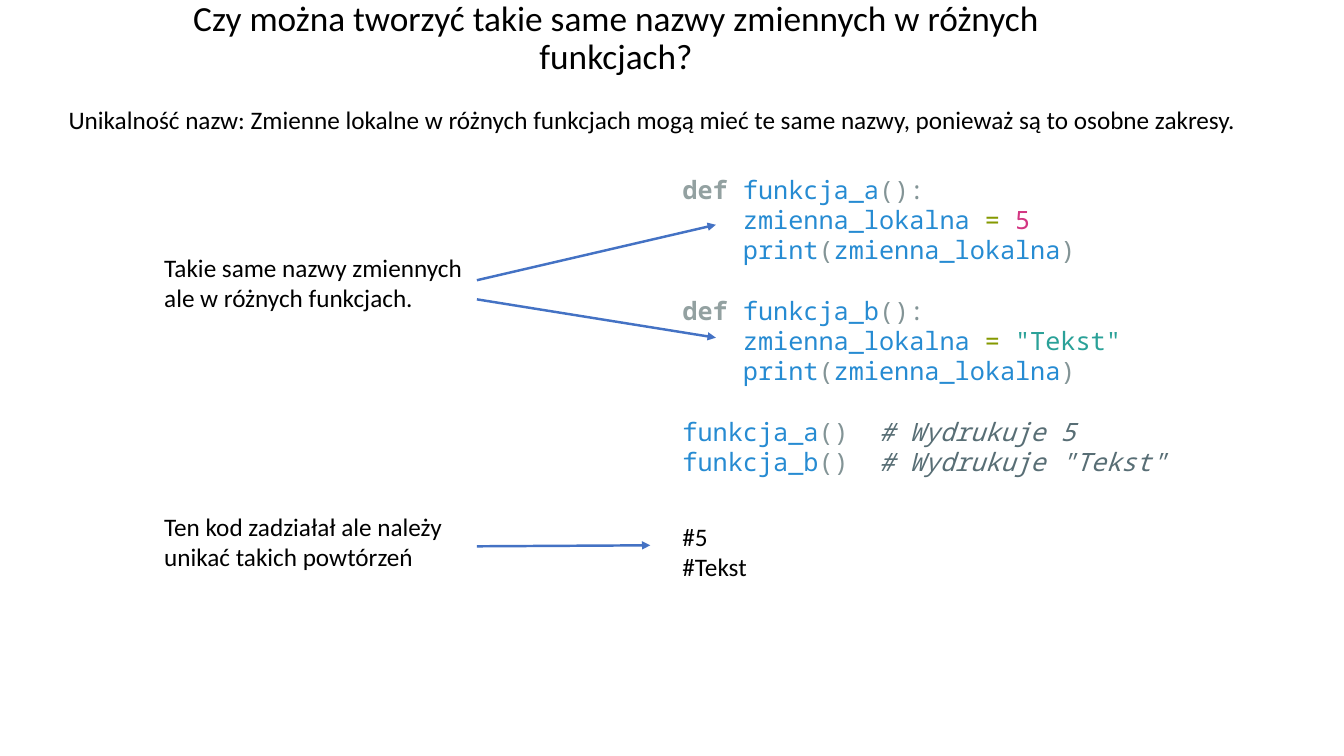
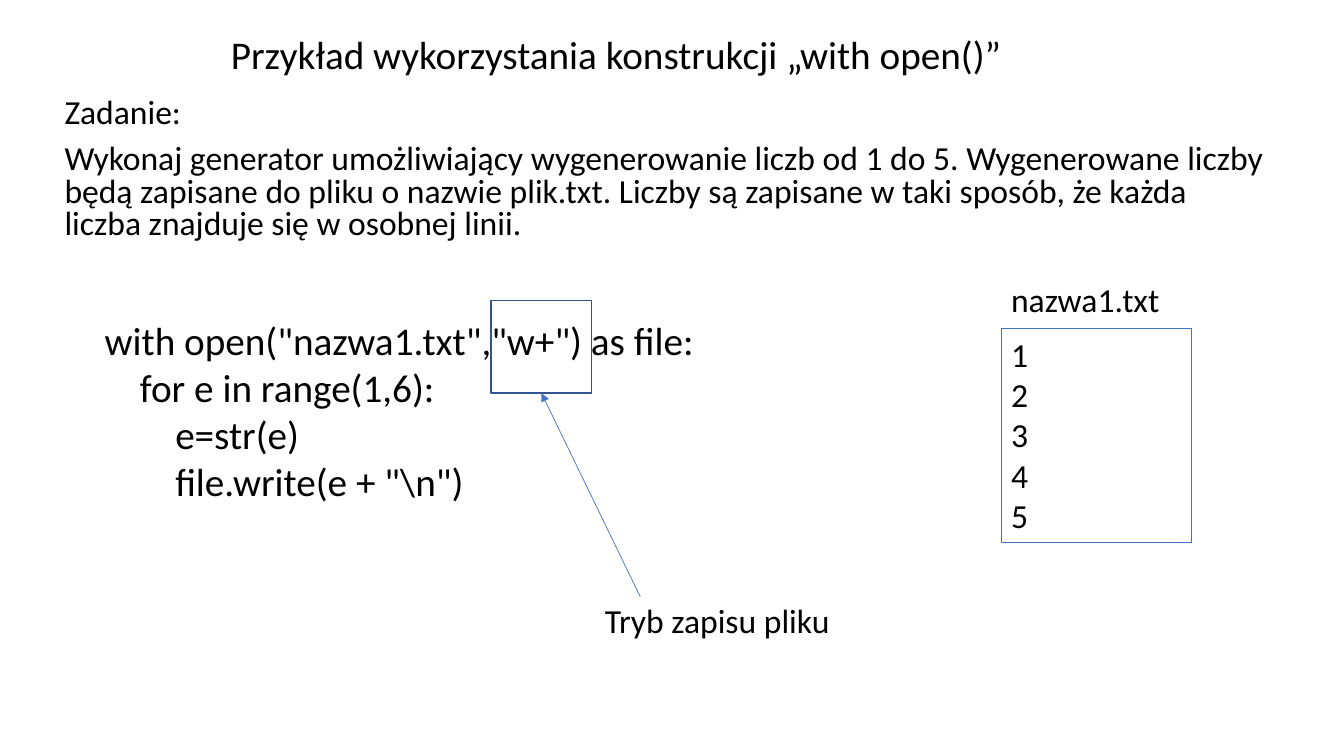
from dataclasses import dataclass

from lxml import etree
from pptx import Presentation
from pptx.dml.color import RGBColor
from pptx.enum.shapes import MSO_CONNECTOR as Connector, MSO_SHAPE as Shape
from pptx.enum.text import MSO_ANCHOR as Anchor, MSO_AUTO_SIZE as AutoSize, PP_ALIGN as Align
from pptx.oxml.ns import qn
from pptx.util import Inches, Pt


@dataclass(frozen=True)
class Theme:
    font: str = "Calibri"
    code_font: str = "Noto Sans Mono"
    text: str = "000000"
    accent: str = "4472C4"
    frame: str = "325491"
    keyword: str = "93A1A1"
    name: str = "268BD2"
    sign: str = "839496"
    operator: str = "859900"
    number: str = "D33682"
    string: str = "2AA198"
    comment: str = "586E75"
    small: float = 18
    medium: float = 24
    large: float = 28
    long_title: float = 25.2


THEME = Theme()
TITLE_PLACE = (1.11, 0.3, 10, 0.52)


def style_run(run, size, color=THEME.text, font=THEME.font):
    run.font.name = font
    run.font.size = Pt(size)
    run.font.color.rgb = RGBColor.from_string(color)


def style_frame(frame, size, align=Align.LEFT, spacing=1.0, before=0):
    for para in frame.paragraphs:
        para.alignment = align
        para.line_spacing = spacing
        para.space_before = Pt(before)
        for run in para.runs:
            style_run(run, size)


def set_line(shape, color, width):
    shape.line.color.rgb = RGBColor.from_string(color)
    shape.line.width = Pt(width)


def indent(para, inches):
    properties = para._p.get_or_add_pPr()
    properties.set("marL", str(Inches(inches)))
    properties.set("indent", "0")


def fill_placeholder(holder, place, text, size, anchor=Anchor.TOP, **paragraph_style):
    holder.left, holder.top, holder.width, holder.height = map(Inches, place)
    frame = holder.text_frame
    frame.text = text
    frame.auto_size = AutoSize.NONE
    frame.vertical_anchor = anchor
    style_frame(frame, size, **paragraph_style)


def add_page(deck, title, title_size):
    page = deck.slides.add_slide(deck.slide_layouts[0])
    fill_placeholder(page.shapes.title, TITLE_PLACE, title, title_size,
                     Anchor.BOTTOM, align=Align.CENTER, spacing=0.9)
    return page


def add_text(page, place, lines, size):
    box = page.shapes.add_textbox(*map(Inches, place))
    frame = box.text_frame
    frame.word_wrap = True
    frame.auto_size = AutoSize.SHAPE_TO_FIT_TEXT
    frame.text = "\n".join(lines)
    style_frame(frame, size)
    return box


def add_arrow(page, start, end, width):
    arrow = page.shapes.add_connector(Connector.STRAIGHT, *map(Inches, start + end))
    set_line(arrow, THEME.accent, width)
    etree.SubElement(arrow.line._get_or_add_ln(), qn("a:tailEnd"), type="triangle")
    etree.SubElement(arrow._element.spPr, qn("a:effectLst"))
    return arrow


def add_frame(page, place):
    frame = page.shapes.add_shape(Shape.RECTANGLE, *map(Inches, place))
    frame.shadow.inherit = False
    frame.fill.background()
    set_line(frame, THEME.frame, 1)
    return frame


def function_lines(name, value, value_role):
    """Code lines of one function, each as (depth, [(text, role), ...])."""
    return [
        (0, [("def ", "keyword"), (name, "name"), ("():", "sign")]),
        (1, [("zmienna_lokalna ", "name"), ("= ", "operator"), (value, value_role)]),
        (1, [("print", "name"), ("(", "sign"), ("zmienna_lokalna", "name"), (")", "sign")]),
    ]


def call_line(name, comment):
    return 0, [(name, "name"), ("()  ", "sign"), (comment, "comment")]


def add_highlighted_code(page, place, blocks):
    """Draw blocks of coloured code, one line's height apart."""
    frame = add_text(page, place, [], THEME.small).text_frame
    lines = [(index > 0 and row == 0, line)
             for index, block in enumerate(blocks) for row, line in enumerate(block)]
    for number, (opens_block, (depth, tokens)) in enumerate(lines):
        para = frame.add_paragraph() if number else frame.paragraphs[0]
        para.space_before = Pt(21.6 if opens_block else 0)
        indent(para, 0.6 * depth)
        for text, role in tokens:
            span = para.add_run()
            span.text = text
            style_run(span, THEME.small, getattr(THEME, role), THEME.code_font)
            span.font.bold = role == "keyword"
            span.font.italic = role == "comment"


def build_names_page(deck):
    page = add_page(deck, "Czy można tworzyć takie same nazwy zmiennych w różnych funkcjach?",
                    THEME.long_title)
    fill_placeholder(
        page.placeholders[1], (0.58, 0.98, 12, 0.4),
        "Unikalność nazw: Zmienne lokalne w różnych funkcjach mogą mieć te same nazwy, "
        "ponieważ są to osobne zakresy.", THEME.small)
    add_highlighted_code(page, (6.67, 1.68, 6.67, 3.13), [
        function_lines("funkcja_a", "5", "number"),
        function_lines("funkcja_b", '"Tekst"', "string"),
        [call_line("funkcja_a", "# Wydrukuje 5"),
         call_line("funkcja_b", '# Wydrukuje "Tekst"')],
    ])
    notes = [
        ((1.53, 2.45, 3.55, 0.71), ["Takie same nazwy zmiennych", "ale w różnych funkcjach."]),
        ((6.67, 5.12, 5.2, 0.71), ["#5", "#Tekst"]),
        ((1.53, 5.02, 3.55, 0.71), ["Ten kod zadziałał ale należy unikać takich powtórzeń"]),
    ]
    for place, lines in notes:
        add_text(page, place, lines, THEME.small)
    for start_y, end in [(2.78, (7.1, 2.23)), (2.97, (7.1, 3.35)), (5.42, (6.45, 5.41))]:
        add_arrow(page, (4.73, start_y), end, 1.75)


def build_file_page(deck):
    page = add_page(deck, "Przykład wykorzystania konstrukcji „with open()”", THEME.large)
    fill_placeholder(
        page.placeholders[1], (0.54, 0.93, 12.16, 1.66),
        "Zadanie:\n"
        "Wykonaj generator umożliwiający wygenerowanie liczb od 1 do 5. Wygenerowane liczby "
        "będą zapisane do pliku o nazwie plik.txt. Liczby są zapisane w taki sposób, że każda "
        "liczba znajduje się w osobnej linii.", THEME.medium, spacing=0.8, before=10)

    code = [(0, 'with open("nazwa1.txt","w+") as file:'), (1, "for e in range(1,6):"),
            (2, "e=str(e)"), (2, 'file.write(e + "\\n")')]
    code_box = add_text(page, (0.94, 3.09, 6.8, 1.99), [text for _, text in code], THEME.large)
    for para, (depth, _) in zip(code_box.text_frame.paragraphs, code):
        indent(para, 0.35 * depth)

    file_box = add_text(page, (9.93, 3.26, 1.89, 2.12), map(str, range(1, 6)), THEME.medium)
    set_line(file_box, THEME.accent, 0.75)
    add_text(page, (9.93, 2.72, 1.89, 0.5), ["nazwa1.txt"], THEME.medium)

    mode_frame = add_frame(page, (4.87, 2.98, 1, 0.92))
    mode_arrow = add_arrow(page, (6.35, 5.92), (5.37, 3.9), 0.5)
    mode_arrow.end_connect(mode_frame, 2)
    add_text(page, (5.9, 5.9, 2.46, 0.5), ["Tryb zapisu pliku"], THEME.medium)


def main():
    deck = Presentation()
    deck.slide_width, deck.slide_height = Inches(13.33), Inches(7.5)
    build_names_page(deck)
    build_file_page(deck)
    deck.save("out.pptx")


if __name__ == "__main__":
    main()
